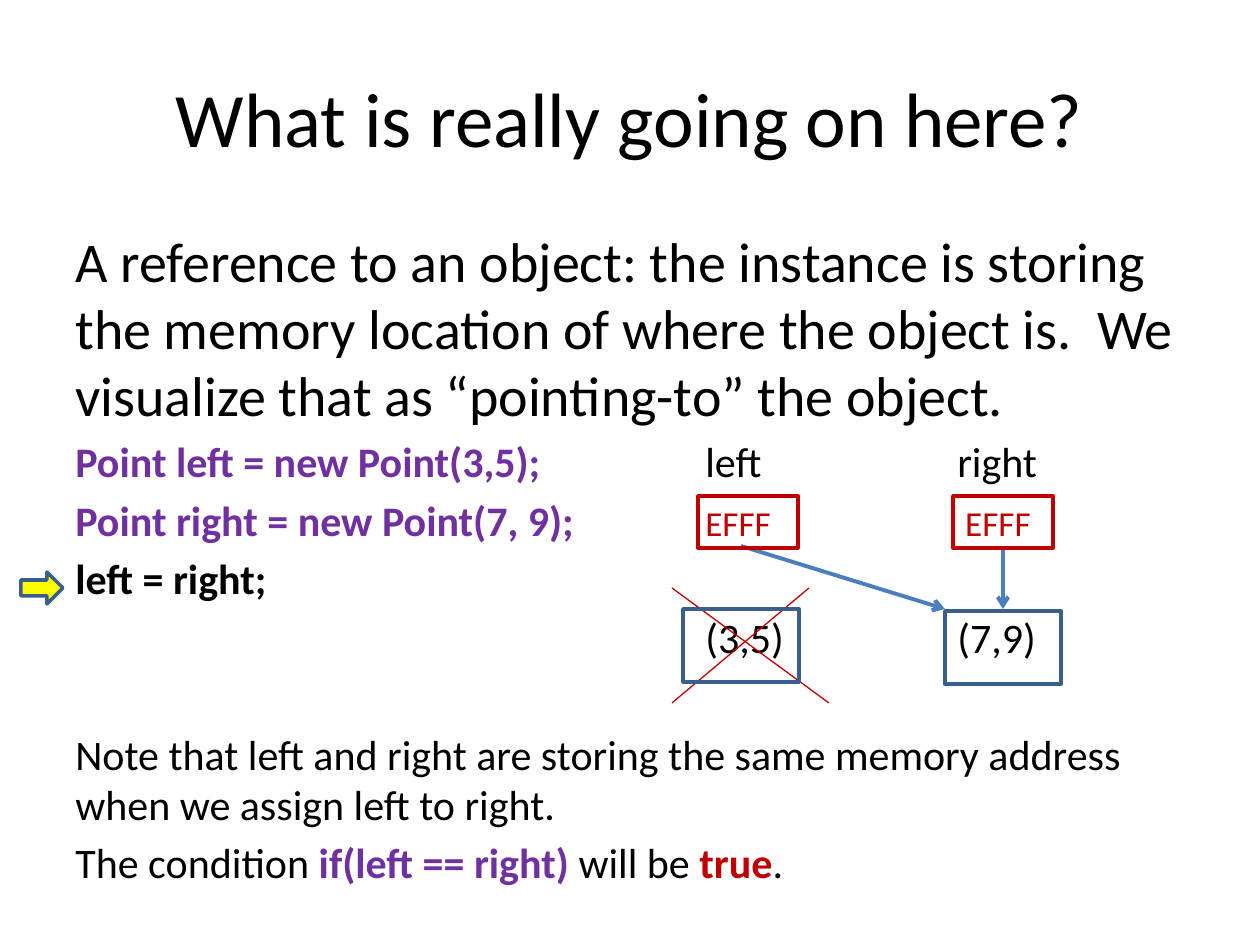
import pptx
import pptx.util
import pptx.dml.color
import pptx.enum.shapes
import pptx.enum.text
import pptx.oxml
import pptx.oxml.ns
from dataclasses import dataclass


@dataclass
class Theme:
    font: str = "Calibri"
    black: str = "000000"
    purple: str = "7030A0"
    red: str = "C00000"
    yellow: str = "FFFF00"
    outline: str = "3A5F8C"
    pointer: str = "4B7EBC"
    title_size: int = 44
    lead_size: int = 32
    body_size: int = 24
    address_size: int = 20


theme = Theme()
PIXEL = 914400 // 126


def pixels(*values):
    return [pptx.util.Emu(value * PIXEL) for value in values]


def add_text(paragraph, text, size=theme.body_size, color=theme.black, bold=False):
    run = paragraph.add_run()
    run.text = text
    run.font.name = theme.font
    run.font.size = pptx.util.Pt(size)
    run.font.bold = bold
    run.font.color.rgb = pptx.dml.color.RGBColor.from_string(color)


presentation = pptx.Presentation()
presentation.slide_width, presentation.slide_height = pixels(1260, 945)
slide = presentation.slides.add_slide(presentation.slide_layouts[5])

# Title
title = slide.shapes.title
title.left, title.top, title.width, title.height = pixels(63, 38, 1134, 158)
title.text_frame.vertical_anchor = pptx.enum.text.MSO_ANCHOR.MIDDLE
title_paragraph = title.text_frame.paragraphs[0]
title_paragraph.alignment = pptx.enum.text.PP_ALIGN.CENTER
add_text(title_paragraph, "What is really going on here?", size=theme.title_size)

# Body: space before each paragraph, then its runs
code = dict(color=theme.purple, bold=True)
address = dict(color=theme.red, size=theme.address_size)
body = [
    (0, [("A reference to an object: the instance is storing the memory location "
          "of where the object is.  We visualize that as “pointing-to” the object.",
          dict(size=theme.lead_size))]),
    (4.6, [("Point left = new Point(3,5);", code), ("\tleft\tright", {})]),
    (4.6, [("Point right = new Point(7, 9);\t", code), ("EFFF\t EFFF", address)]),
    (4.6, [("left = right;", dict(bold=True))]),
    (4.6, [("\t(3,5)\t(7,9)", {})]),
    (38, [("Note that left and right are storing the same memory address "
           "when we assign left to right.", {})]),
    (4.6, [("The condition", {}), (" if(left == right)", code), (" will be ", {}),
           ("true", dict(color=theme.red, bold=True)), (".", {})]),
]
text_frame = slide.shapes.add_textbox(*pixels(63, 220, 1134, 703)).text_frame
text_frame.word_wrap = True
for index, (space, runs) in enumerate(body):
    paragraph = text_frame.add_paragraph() if index else text_frame.paragraphs[0]
    paragraph.space_before = pptx.util.Pt(space)
    for text, text_format in runs:
        add_text(paragraph, text, **text_format)
    # Tab stops hold the two columns of the diagram
    if any("\t" in text for text, text_format in runs):
        tab_list = pptx.oxml.parse_xml(
            f'<a:tabLst {pptx.oxml.ns.nsdecls("a")}>'
            f'<a:tab pos="{630 * PIXEL}" algn="l"/><a:tab pos="{882 * PIXEL}" algn="l"/>'
            '</a:tabLst>')
        paragraph._p.get_or_add_pPr().append(tab_list)

# Pointers and the cross over the abandoned object
lines = [
    (741, 546, 945, 609, theme.pointer, 2.25, True),
    (1003, 546, 1003, 609, theme.pointer, 2.25, True),
    (672, 588, 829, 703, theme.red, 0.75, False),
    (809, 588, 672, 703, theme.red, 0.75, False),
]
for *ends, color, width, has_arrow in lines:
    connector = slide.shapes.add_connector(
        pptx.enum.shapes.MSO_CONNECTOR.STRAIGHT, *pixels(*ends))
    connector.line.color.rgb = pptx.dml.color.RGBColor.from_string(color)
    connector.line.width = pptx.util.Pt(width)
    if has_arrow:
        connector.line._get_or_add_ln().append(pptx.oxml.parse_xml(
            f'<a:tailEnd {pptx.oxml.ns.nsdecls("a")} type="arrow"/>'))
    connector._element.spPr.append(pptx.oxml.parse_xml(
        f'<a:effectLst {pptx.oxml.ns.nsdecls("a")}/>'))

# Current-statement arrow, object boxes and address boxes
rectangle = pptx.enum.shapes.MSO_SHAPE.RECTANGLE
right_arrow = pptx.enum.shapes.MSO_SHAPE.RIGHT_ARROW
boxes = [
    (right_arrow, 21, 572, 42, 32, theme.outline, theme.yellow),
    (rectangle, 683, 609, 116, 73, theme.outline, None),
    (rectangle, 945, 611, 116, 73, theme.outline, None),
    (rectangle, 698, 496, 100, 52, theme.red, None),
    (rectangle, 953, 496, 100, 52, theme.red, None),
]
for kind, *bounds, outline, fill in boxes:
    shape = slide.shapes.add_shape(kind, *pixels(*bounds))
    shape.shadow.inherit = False
    shape.line.color.rgb = pptx.dml.color.RGBColor.from_string(outline)
    shape.line.width = pptx.util.Pt(2)
    if fill:
        shape.fill.solid()
        shape.fill.fore_color.rgb = pptx.dml.color.RGBColor.from_string(fill)
    else:
        shape.fill.background()

presentation.save("out.pptx")
